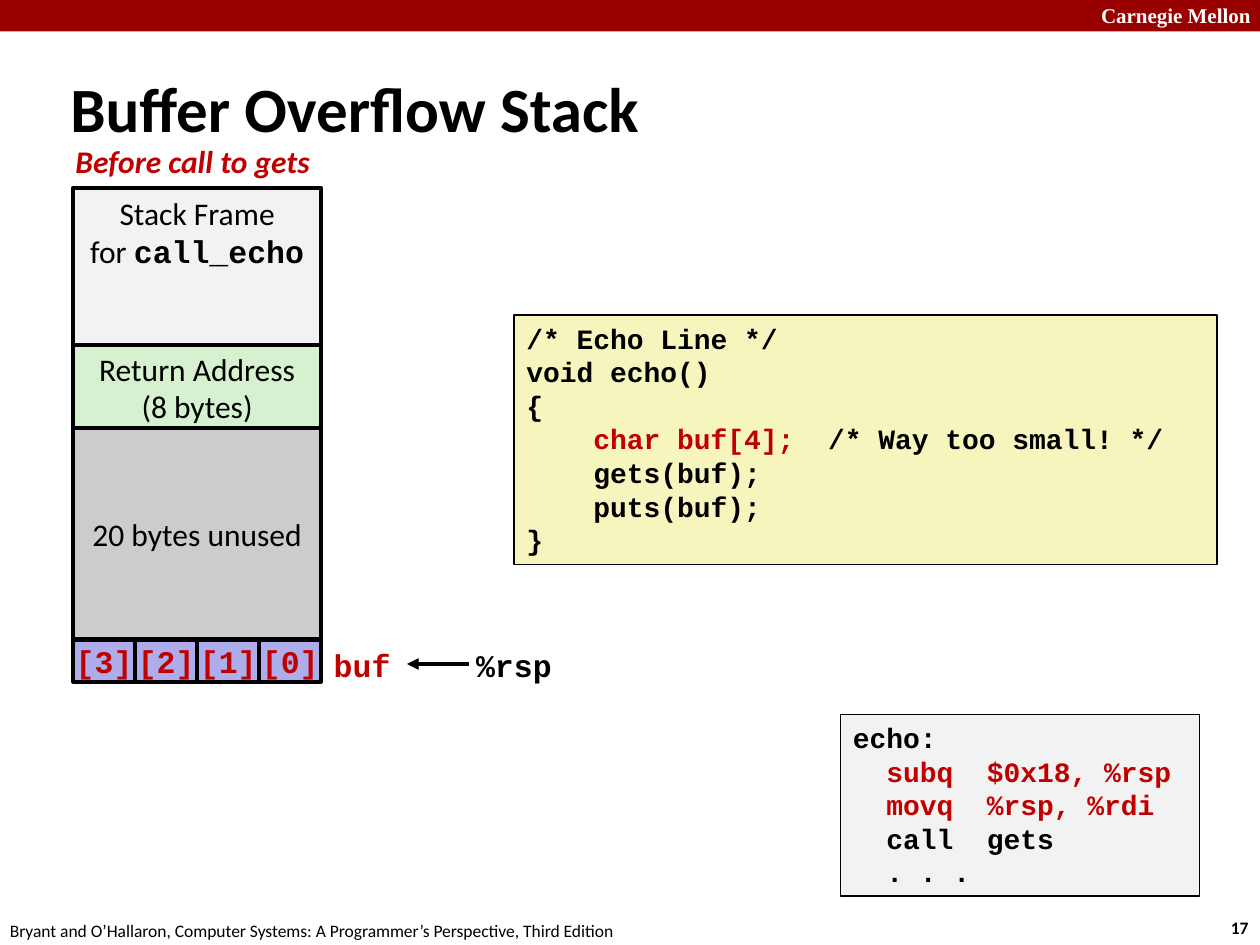
from dataclasses import dataclass, replace
from lxml.etree import SubElement
from pptx import Presentation
from pptx.dml.color import RGBColor
from pptx.enum.shapes import MSO_CONNECTOR, MSO_SHAPE
from pptx.enum.text import MSO_ANCHOR, MSO_AUTO_SIZE, PP_ALIGN
from pptx.oxml.ns import qn
from pptx.util import Inches, Pt


@dataclass(frozen=True)
class Face:
    font: str
    size: int
    color: str = "000000"
    bold: bool = False
    ital: bool = False


class Theme:
    black, white, red, band = "000000", "FFFFFF", "C00000", "990000"
    gray, dark, green = "F2F2F2", "CCCCCC", "D5F1CF"
    blue, cream = "ADADEB", "F6F5BD"
    thin, thick = 1, 2.25
    brand = Face("Times New Roman", 12, white, True)
    title = Face("Calibri", 36, bold=True)
    body = Face("Calibri", 18)
    lead = replace(body, color=red, bold=True, ital=True)
    foot = Face("Calibri", 10)
    page = replace(foot, bold=True)
    mono = Face("Courier New", 18, bold=True)
    hot = replace(mono, color=red)
    code = replace(mono, size=16)
    mark = replace(hot, size=16)


class Deck:
    def __init__(self, theme):
        self.theme = theme
        self.show = Presentation()
        self.show.slide_width = Inches(10)
        self.show.slide_height = Inches(7.5)
        self.slide = self.show.slides.add_slide(self.show.slide_layouts[6])

    def text(self, shape, lines, align=PP_ALIGN.LEFT, anchor=MSO_ANCHOR.TOP,
             wrap=False, fit=False):
        """Fill a shape with lines, each a list of (text, face) runs."""
        frame = shape.text_frame
        frame.word_wrap = wrap
        frame.vertical_anchor = anchor
        frame.auto_size = (MSO_AUTO_SIZE.SHAPE_TO_FIT_TEXT if fit
                           else MSO_AUTO_SIZE.NONE)
        for i, line in enumerate(lines):
            para = frame.add_paragraph() if i else frame.paragraphs[0]
            para.alignment = align
            for words, face in line:
                run = para.add_run()
                run.text = words
                font = run.font
                font.name, font.size = face.font, Pt(face.size)
                font.bold, font.italic = face.bold, face.ital
                font.color.rgb = RGBColor.from_string(face.color)

    def rect(self, x, y, w, h, fill, line=None):
        shape = self.slide.shapes.add_shape(
            MSO_SHAPE.RECTANGLE, Inches(x), Inches(y), Inches(w), Inches(h))
        shape.shadow.inherit = False
        shape.fill.solid()
        shape.fill.fore_color.rgb = RGBColor.from_string(fill)
        if line:
            shape.line.color.rgb = RGBColor.from_string(self.theme.black)
            shape.line.width = Pt(line)
        else:
            shape.line.fill.background()
        return shape

    def cell(self, x, y, w, h, fill, lines, anchor=MSO_ANCHOR.MIDDLE):
        """Draw one block of the stack."""
        shape = self.rect(x, y, w, h, fill, self.theme.thick)
        self.text(shape, lines, PP_ALIGN.CENTER, anchor)

    def code(self, x, y, w, h, fill, lines):
        shape = self.rect(x, y, w, h, fill, self.theme.thin)
        self.text(shape, lines, wrap=True, fit=True)

    def label(self, x, y, w, h, words, face, fit=True, **style):
        box = self.slide.shapes.add_textbox(
            Inches(x), Inches(y), Inches(w), Inches(h))
        self.text(box, [[(words, face)]], fit=fit, **style)

    def arrow(self, x1, y1, x2, y2):
        link = self.slide.shapes.add_connector(
            MSO_CONNECTOR.STRAIGHT,
            Inches(x1), Inches(y1), Inches(x2), Inches(y2))
        link.line.color.rgb = RGBColor.from_string(self.theme.black)
        link.line.width = Pt(self.theme.thick)
        props = link._element.spPr
        SubElement(props.find(qn("a:ln")), qn("a:tailEnd"), type="triangle")
        SubElement(props, qn("a:effectLst"))


def main():
    t = Theme
    deck = Deck(t)

    deck.rect(0, 0, 10, 0.25, t.band)
    deck.label(8.64, -0.03, 1.43, 0.3, "Carnegie Mellon", t.brand, wrap=True)
    deck.label(9.67, 7.23, 0.37, 0.27, "17", t.page)
    deck.label(-0.02, 7.25, 5.08, 0.27,
               "Bryant and O’Hallaron, Computer Systems: "
               "A Programmer’s Perspective, Third Edition", t.foot)
    deck.label(0.46, 0.54, 7.1, 0.63, "Buffer Overflow Stack", t.title,
               fit=False, wrap=True, anchor=MSO_ANCHOR.MIDDLE)
    deck.label(0.5, 1.08, 2.09, 0.4, "Before call to gets", t.lead)

    deck.code(6.67, 5.67, 2.85, 1.44, t.gray, [
        [("echo:", t.code)],
        [("  subq  $0x18, %rsp", t.mark)],
        [("  movq  %rsp, %rdi", t.mark)],
        [("  call  gets", t.code)],
        [("  . . .", t.code)],
    ])
    deck.code(4.08, 2.5, 5.58, 1.98, t.cream, [
        [("/* Echo Line */", t.code)],
        [("void echo()", t.code)],
        [("{", t.code)],
        [("    char buf[4];  ", t.mark), ("/* Way too small! */", t.code)],
        [("    gets(buf);", t.code)],
        [("    puts(buf);", t.code)],
        [("}", t.code)],
    ])

    left, wide, base = 0.58, 1.97, 5.08
    deck.cell(left, 1.49, wide, 1.25, t.gray, [
        [("Stack Frame", t.body)],
        [("for ", t.body), ("call_echo", t.mono)],
    ], MSO_ANCHOR.TOP)
    deck.cell(left, 2.74, wide, 0.67, t.green, [
        [("Return Address", t.body)], [("(8 bytes)", t.body)],
    ])
    deck.cell(left, 3.4, wide, 1.67, t.dark, [[("20 bytes unused", t.body)]])
    step = wide / 4
    for i in range(4):
        deck.cell(left + i * step, base, step, 0.33, t.blue,
                  [[(f"[{3 - i}]", t.hot)]])

    deck.label(left + wide, base, 0.65, 0.4, "buf", t.hot)
    deck.arrow(3.72, 5.27, 3.23, 5.27)
    deck.label(3.68, base, 0.81, 0.4, "%rsp", t.mono)

    deck.show.save("out.pptx")


if __name__ == "__main__":
    main()
